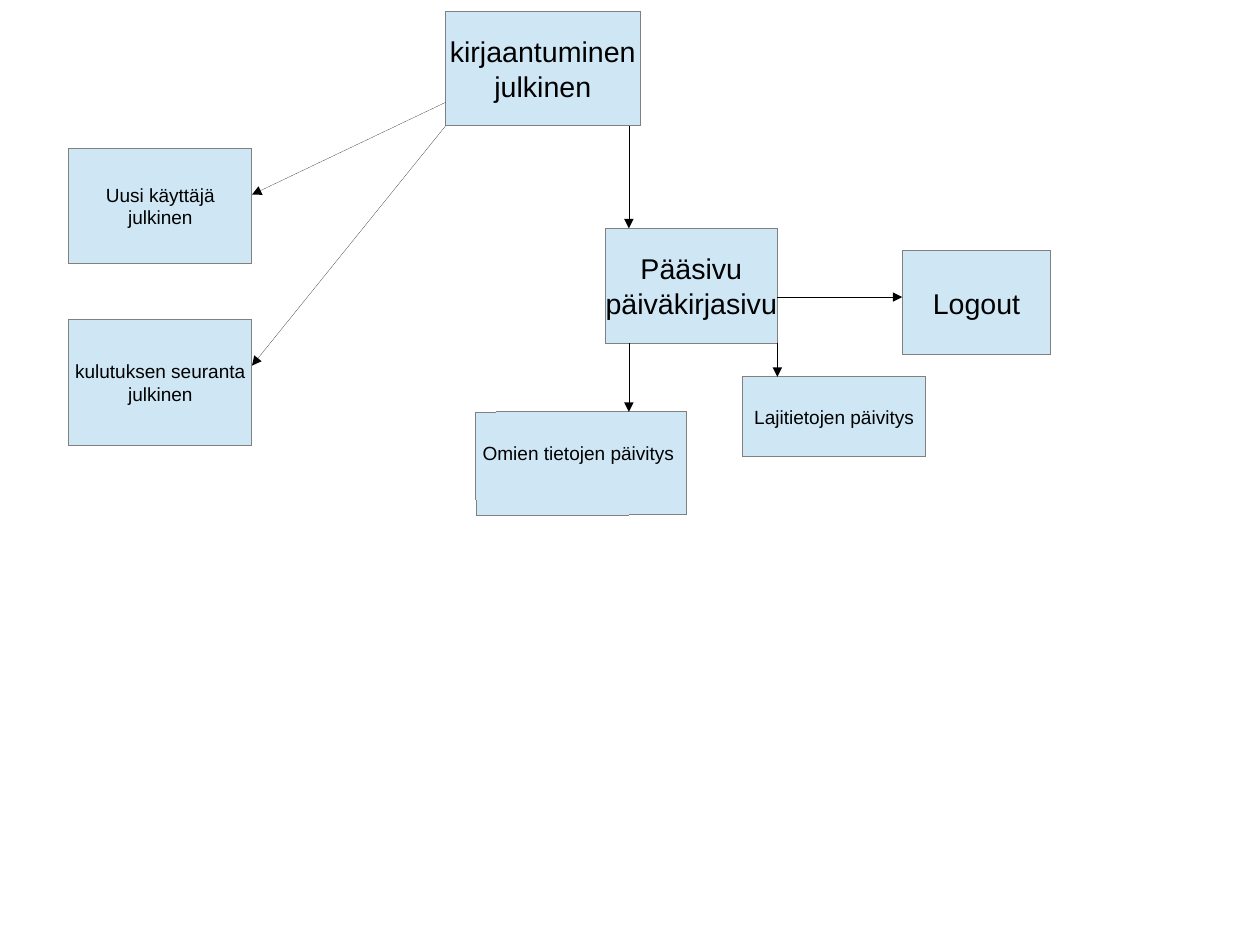
from lxml import etree
from pptx import Presentation
from pptx.dml.color import RGBColor
from pptx.enum.shapes import MSO_CONNECTOR, MSO_SHAPE
from pptx.enum.text import MSO_ANCHOR, MSO_AUTO_SIZE, PP_ALIGN
from pptx.oxml.ns import qn
from pptx.util import Emu, Pt

RECTANGLE = MSO_SHAPE.RECTANGLE
STRAIGHT = MSO_CONNECTOR.STRAIGHT
CENTER, LEFT = PP_ALIGN.CENTER, PP_ALIGN.LEFT
MIDDLE, TOP = MSO_ANCHOR.MIDDLE, MSO_ANCHOR.TOP
FIT_SHAPE = MSO_AUTO_SIZE.SHAPE_TO_FIT_TEXT

PALE_BLUE = RGBColor(0xCF, 0xE7, 0xF5)
GRAY = RGBColor(0x80, 0x80, 0x80)
BLACK = RGBColor(0, 0, 0)

EMU_PER_PX = 9000  # 40 px to the centimetre
FONT = "Arial"
LARGE, SMALL = 18, 12

# lines of text, size, (left, top, width, height)
PAGE_BOXES = [
    (["kirjaantuminen", "julkinen"], LARGE, (396, 10, 173, 102)),
    (["Uusi käyttäjä", "julkinen"], SMALL, (61, 132, 163, 102)),
    (["kulutuksen seuranta", "julkinen"], SMALL, (61, 284, 163, 112)),
    (["Pääsivu", "päiväkirjasivu"], LARGE, (538, 203, 153, 102)),
    (["Lajitietojen päivitys"], SMALL, (660, 335, 163, 71)),
    (["Logout"], LARGE, (802, 223, 132, 92)),
]

# start and end points
ARROWS = [
    ((559, 112), (559, 203)),
    ((559, 305), (559, 366)),
    ((691, 305), (691, 335)),
    ((691, 264), (802, 264)),
    ((396, 91), (224, 173)),
    ((396, 112), (224, 325)),
]


def px(*lengths):
    return [Emu(length * EMU_PER_PX) for length in lengths]


def write_text(shape, lines, size, align=CENTER, anchor=MIDDLE):
    frame = shape.text_frame
    frame.word_wrap = False
    frame.vertical_anchor = anchor
    frame.text = "\n".join(lines)
    for para in frame.paragraphs:
        para.alignment = align
        for span in para.runs:
            span.font.name = FONT
            span.font.size = Pt(size)
            span.font.color.rgb = BLACK


def set_hairline(shape, color):
    """Give a zero-width line, free of the theme's line width."""
    shape._element.remove(shape._element.find(qn("p:style")))
    shape.line.color.rgb = color
    shape.line.width = Pt(0)


def add_box(page, bounds, rotation=0):
    box = page.shapes.add_shape(RECTANGLE, *px(*bounds))
    box.rotation = rotation
    box.shadow.inherit = False
    box.fill.solid()
    box.fill.fore_color.rgb = PALE_BLUE
    set_hairline(box, GRAY)
    return box


def add_label(page, lines, size, bounds):
    label = page.shapes.add_textbox(*px(*bounds))
    write_text(label, lines, size, align=LEFT, anchor=TOP)
    label.text_frame.auto_size = FIT_SHAPE


def add_arrow(page, start, end):
    arrow = page.shapes.add_connector(STRAIGHT, *px(*start, *end))
    set_hairline(arrow, BLACK)
    outline = arrow._element.spPr.find(qn("a:ln"))
    etree.SubElement(outline, qn("a:tailEnd"), type="triangle")
    etree.SubElement(arrow._element.spPr, qn("a:effectLst"))


def main():
    deck = Presentation()
    deck.slide_width, deck.slide_height = px(1120, 840)
    page = deck.slides.add_slide(deck.slide_layouts[6])

    *main_boxes, logout_box = PAGE_BOXES
    for lines, size, bounds in main_boxes:
        write_text(add_box(page, bounds), lines, size)

    add_box(page, (423, 366, 187, 92), rotation=359.8)
    add_label(page, ["Omien tietojen päivitys"], SMALL, (419, 387, 191, 29))

    lines, size, bounds = logout_box
    write_text(add_box(page, bounds), lines, size)

    for start, end in ARROWS:
        add_arrow(page, start, end)

    deck.save("out.pptx")


if __name__ == "__main__":
    main()
